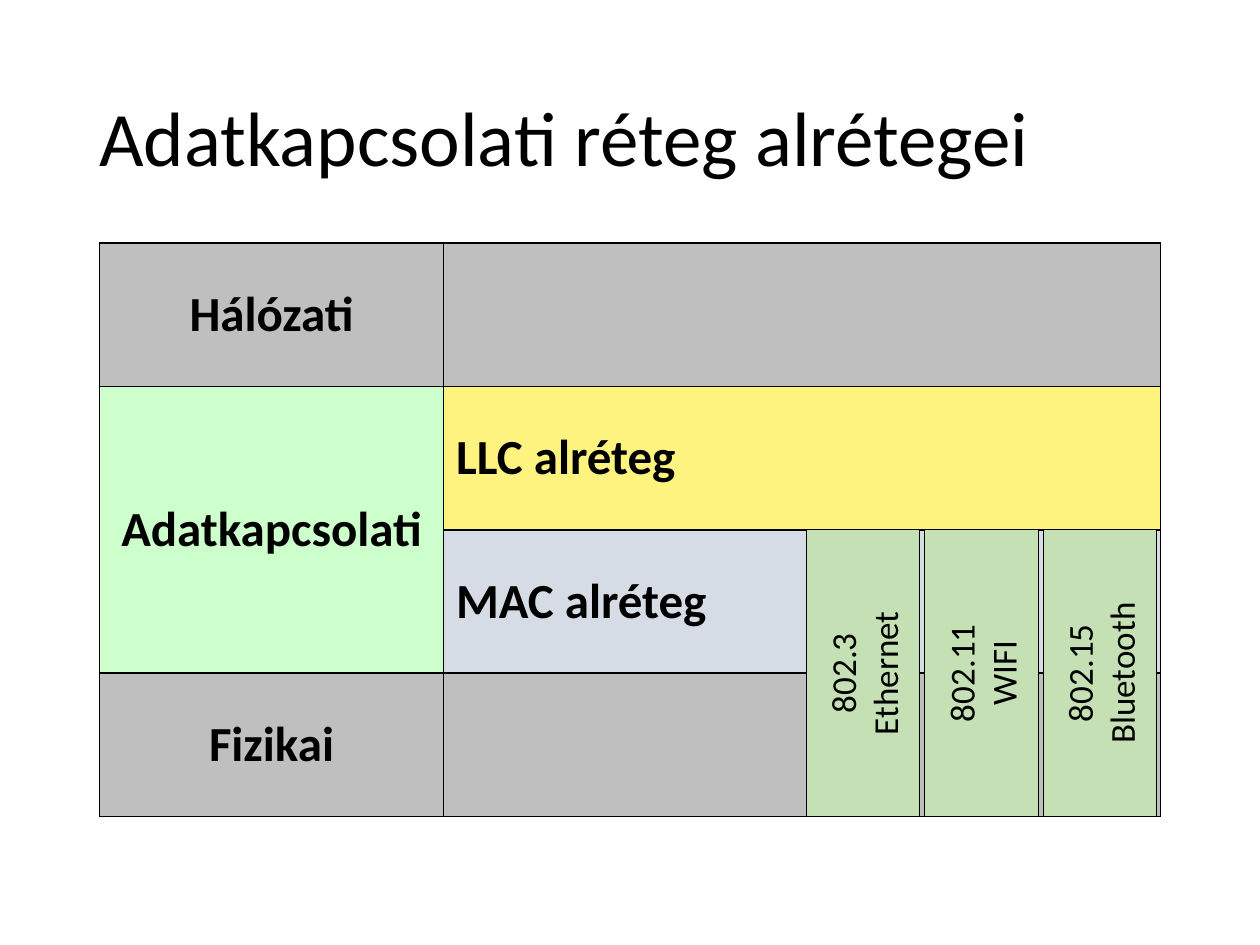
"""Build a slide showing the sublayers of the data link layer."""
from lxml import etree
from pptx import Presentation
from pptx.dml.color import RGBColor
from pptx.enum.shapes import MSO_SHAPE
from pptx.enum.text import MSO_ANCHOR, PP_ALIGN
from pptx.oxml.ns import qn
from pptx.util import Inches, Pt

CENTER, LEFT = PP_ALIGN.CENTER, PP_ALIGN.LEFT
MIDDLE = MSO_ANCHOR.MIDDLE
RECTANGLE = MSO_SHAPE.RECTANGLE

BLACK = RGBColor(0x00, 0x00, 0x00)
GRAY = RGBColor(0xBF, 0xBF, 0xBF)
MINT = RGBColor(0xCC, 0xFF, 0xCC)
YELLOW = RGBColor(0xFF, 0xF3, 0x7F)
BLUE_GRAY = RGBColor(0xD6, 0xDC, 0xE5)
GREEN = RGBColor(0xC5, 0xE0, 0xB4)

TITLE_FONT = {"name": "Calibri", "size": Pt(44), "bold": False}
LAYER_FONT = {"name": "Calibri", "size": Pt(28), "bold": True}
STANDARD_FONT = {"name": "Calibri", "size": Pt(20), "bold": False}

TABLE_LEFT, TABLE_TOP = 0.79, 1.93
COLUMNS = (2.73, 5.69)
ROW = 4.55 / 4
STANDARD_LEFT, STANDARD_WIDTH, STANDARD_STEP = 6.4, 0.9, 0.94

LAYERS = [
    [("Hálózati", GRAY, CENTER), ("", GRAY, LEFT)],
    [("Adatkapcsolati", MINT, CENTER), ("LLC alréteg", YELLOW, LEFT)],
    [("", MINT, CENTER), ("MAC alréteg", BLUE_GRAY, LEFT)],
    [("Fizikai", GRAY, CENTER), ("", GRAY, LEFT)],
]
STANDARDS = [("802.3", "Ethernet"), ("802.11", "WIFI"), ("802.15", "Bluetooth")]


def write(frame, lines, font, align):
    frame.word_wrap = True
    frame.vertical_anchor = MIDDLE
    for index, line in enumerate(lines):
        para = frame.add_paragraph() if index else frame.paragraphs[0]
        para.alignment = align
        span = para.add_run()
        span.text = line
        span.font.color.rgb = BLACK
        for name, value in font.items():
            setattr(span.font, name, value)


def add_borders(cell):
    properties = cell._tc.get_or_add_tcPr()
    for side in ("a:lnL", "a:lnR", "a:lnT", "a:lnB"):
        border = etree.SubElement(properties, qn(side), w=str(Pt(1)))
        fill = etree.SubElement(border, qn("a:solidFill"))
        etree.SubElement(fill, qn("a:srgbClr"), val=str(BLACK))


deck = Presentation()
deck.slide_width, deck.slide_height = Inches(10), Inches(7.5)
page = deck.slides.add_slide(deck.slide_layouts[6])

table = page.shapes.add_table(
    len(LAYERS), len(COLUMNS), Inches(TABLE_LEFT), Inches(TABLE_TOP),
    Inches(sum(COLUMNS)), Inches(ROW * len(LAYERS))).table
table.first_row = table.horz_banding = False
for column, width in zip(table.columns, COLUMNS):
    column.width = Inches(width)
for row, layer in enumerate(LAYERS):
    table.rows[row].height = Inches(ROW)
    for column, (label, color, align) in enumerate(layer):
        cell = table.cell(row, column)
        add_borders(cell)
        cell.fill.solid()
        cell.fill.fore_color.rgb = color
        cell.vertical_anchor = MIDDLE
        if label:
            write(cell.text_frame, [label], LAYER_FONT, align)
table.cell(1, 0).merge(table.cell(2, 0))

title = page.shapes.add_textbox(Inches(0.69), Inches(0.4), Inches(8.62), Inches(1.45))
write(title.text_frame, ["Adatkapcsolati réteg alrétegei"], TITLE_FONT, LEFT)
title.text_frame.paragraphs[0].line_spacing = 0.9

for index, lines in enumerate(STANDARDS):
    box = page.shapes.add_shape(
        RECTANGLE, Inches(STANDARD_LEFT + index * STANDARD_STEP),
        Inches(TABLE_TOP + 2 * ROW), Inches(STANDARD_WIDTH), Inches(2 * ROW))
    box.shadow.inherit = False
    box.fill.solid()
    box.fill.fore_color.rgb = GREEN
    box.line.color.rgb = BLACK
    box.line.width = Pt(0.5)
    write(box.text_frame, lines, STANDARD_FONT, CENTER)
    box.element.txBody.bodyPr.set("vert", "vert270")

deck.save("out.pptx")
